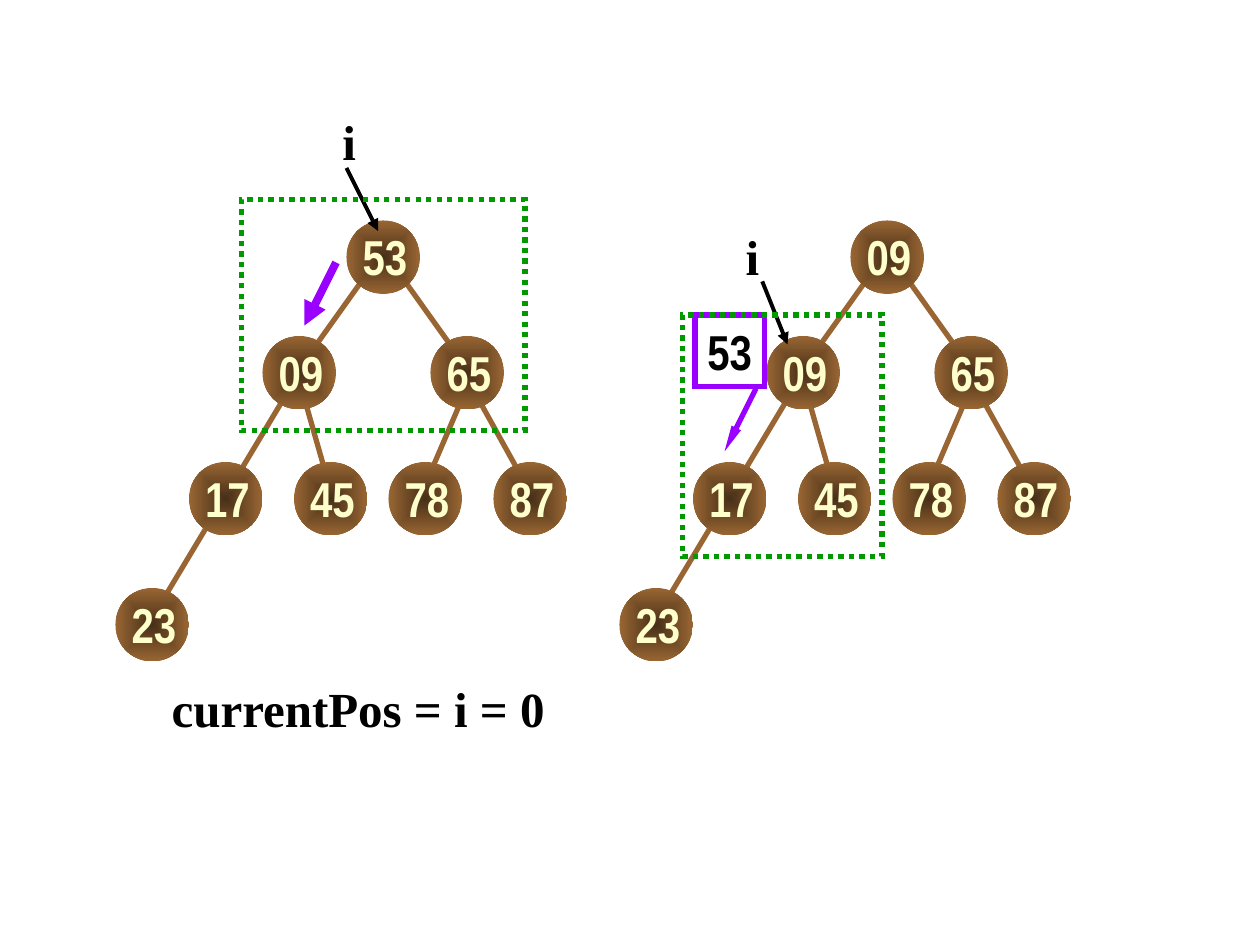
"""Build a slide showing two steps of sifting a value down a min-heap."""
from lxml import etree
from pptx import Presentation
from pptx.dml.color import RGBColor
from pptx.enum.dml import MSO_LINE
from pptx.enum.shapes import MSO_CONNECTOR, MSO_SHAPE
from pptx.enum.text import MSO_ANCHOR, MSO_AUTO_SIZE, PP_ALIGN
from pptx.oxml.ns import qn
from pptx.util import Inches, Pt

OVAL, RECT = MSO_SHAPE.OVAL, MSO_SHAPE.RECTANGLE
STRAIGHT, DOTTED = MSO_CONNECTOR.STRAIGHT, MSO_LINE.ROUND_DOT
CENTER, MIDDLE = PP_ALIGN.CENTER, MSO_ANCHOR.MIDDLE
FIXED = MSO_AUTO_SIZE.NONE

WIDTH, HEIGHT = 10, 7.5
COLUMNS = 120
CELL = WIDTH / COLUMNS
NODE = 7
LABEL = (6.6, 6.8)
LABEL_SHIFT = 0.36
TREE_STEP = 48

BROWN, DARK_BROWN, CREAM = "996633", "472F18", "FFFFCC"
GREEN, PURPLE, BLACK, WHITE = "009900", "9900FF", "000000", "FFFFFF"
NUMBER_FONT, TEXT_FONT = "Arial Narrow", "Times New Roman"

NODE_SPOTS = [(33, 21), (25, 32), (41, 32), (18, 44), (28, 44), (37, 44), (47, 44), (11, 56)]
EDGES = [((45, 37), (50, 46)), ((44, 38), (41, 45)), ((38, 26), (43, 33)),
         ((29, 38), (31, 45)), ((35, 26), (30, 33)), ((27, 38), (15, 58))]
STEPS = [
    {"values": ["53", "09", "65", "17", "45", "78", "87", "23"],
     "index": (31.4, 10), "pointer": ((33, 16), (36, 22)),
     "frame": (23, 19, 27, 22), "move": ((32, 25), (29, 31)),
     "move_style": {"width": 4.5, "head": ("med", "med")},
     "caption": ("currentPos = i = 0", (15.1, 64, 38, 6.8))},
    {"values": ["09", "09", "65", "17", "45", "78", "87", "23"],
     "index": (69.8, 21), "pointer": ((72.6, 26.8), (75, 32.8)),
     "frame": (65, 30, 19, 23), "move": ((72, 37), (69, 43)),
     "move_style": {"width": 3, "head": ("sm", "lg")},
     "held": ("53", (66.2, 30, *LABEL))},
]


def rgb(color):
    return RGBColor.from_string(color)


def grid(*cells):
    return [Inches(cell * CELL) for cell in cells]


def style_line(line, color, width):
    line.color.rgb = rgb(color)
    line.width = Pt(width)


def add_line(slide, ends, color, width, head=None):
    (x1, y1), (x2, y2) = ends
    connector = slide.shapes.add_connector(STRAIGHT, *grid(x1, y1, x2, y2))
    style_line(connector.line, color, width)
    if head:
        etree.SubElement(connector.line._get_or_add_ln(), qn("a:tailEnd"),
                         type="triangle", w=head[0], len=head[1])
    etree.SubElement(connector._element.spPr, qn("a:effectLst"))


def add_outline(slide, area, color, dash=None, fill=None):
    outline = slide.shapes.add_shape(RECT, *grid(*area))
    outline.shadow.inherit = False
    style_line(outline.line, color, 3)
    if dash:
        outline.line.dash_style = dash
    etree.SubElement(outline.line._get_or_add_ln(), qn("a:miter"), lim="800000")
    if fill:
        outline.fill.solid()
        outline.fill.fore_color.rgb = rgb(fill)
    else:
        outline.fill.background()
    return outline


def add_node(slide, x, y):
    node = slide.shapes.add_shape(OVAL, *grid(x, y, NODE, NODE))
    node.shadow.inherit = False
    node.line.fill.background()
    node.fill.gradient()
    for stop, position, color in zip(node.fill.gradient_stops, (0, 1), (DARK_BROWN, BROWN)):
        stop.position = position
        stop.color.rgb = rgb(color)
    gradient = node._element.spPr.find(qn("a:gradFill"))
    gradient.remove(gradient.find(qn("a:lin")))
    shade = etree.SubElement(gradient, qn("a:path"))
    shade.set("path", "rect")
    etree.SubElement(shade, qn("a:fillToRect"), l="50000", t="50000", r="50000", b="50000")


def write(holder, text, font=TEXT_FONT, color=BLACK, size=28):
    frame = holder.text_frame
    frame.margin_left = frame.margin_right = 0
    frame.word_wrap = False
    frame.auto_size = FIXED
    frame.vertical_anchor = MIDDLE
    paragraph = frame.paragraphs[0]
    paragraph.alignment = CENTER
    run = paragraph.add_run()
    run.text = text
    run.font.name, run.font.size, run.font.bold = font, Pt(size), True
    run.font.color.rgb = rgb(color)


def add_text(slide, text, area, **style):
    write(slide.shapes.add_textbox(*grid(*area)), text, **style)


def add_step(slide, step, shift):
    for ends in EDGES:
        add_line(slide, [(x + shift, y) for x, y in ends], BROWN, 3)
    for x, y in NODE_SPOTS:
        add_node(slide, x + shift, y)
    if "held" in step:
        value, area = step["held"]
        write(add_outline(slide, area, PURPLE, fill=WHITE), value, font=NUMBER_FONT)
    for value, (x, y) in zip(step["values"], NODE_SPOTS):
        add_text(slide, value, (x + shift + LABEL_SHIFT, y, *LABEL),
                 font=NUMBER_FONT, color=CREAM)
    add_text(slide, "i", (*step["index"], 3.7, 6.8))
    add_line(slide, step["pointer"], BLACK, 2.25, head=("med", "med"))
    add_outline(slide, step["frame"], GREEN, dash=DOTTED)
    if "caption" in step:
        add_text(slide, *step["caption"])
    add_line(slide, step["move"], PURPLE, **step["move_style"])


def main():
    deck = Presentation()
    deck.slide_width, deck.slide_height = Inches(WIDTH), Inches(HEIGHT)
    slide = deck.slides.add_slide(deck.slide_layouts[6])
    for number, step in enumerate(STEPS):
        add_step(slide, step, number * TREE_STEP)
    deck.save("out.pptx")


if __name__ == "__main__":
    main()
